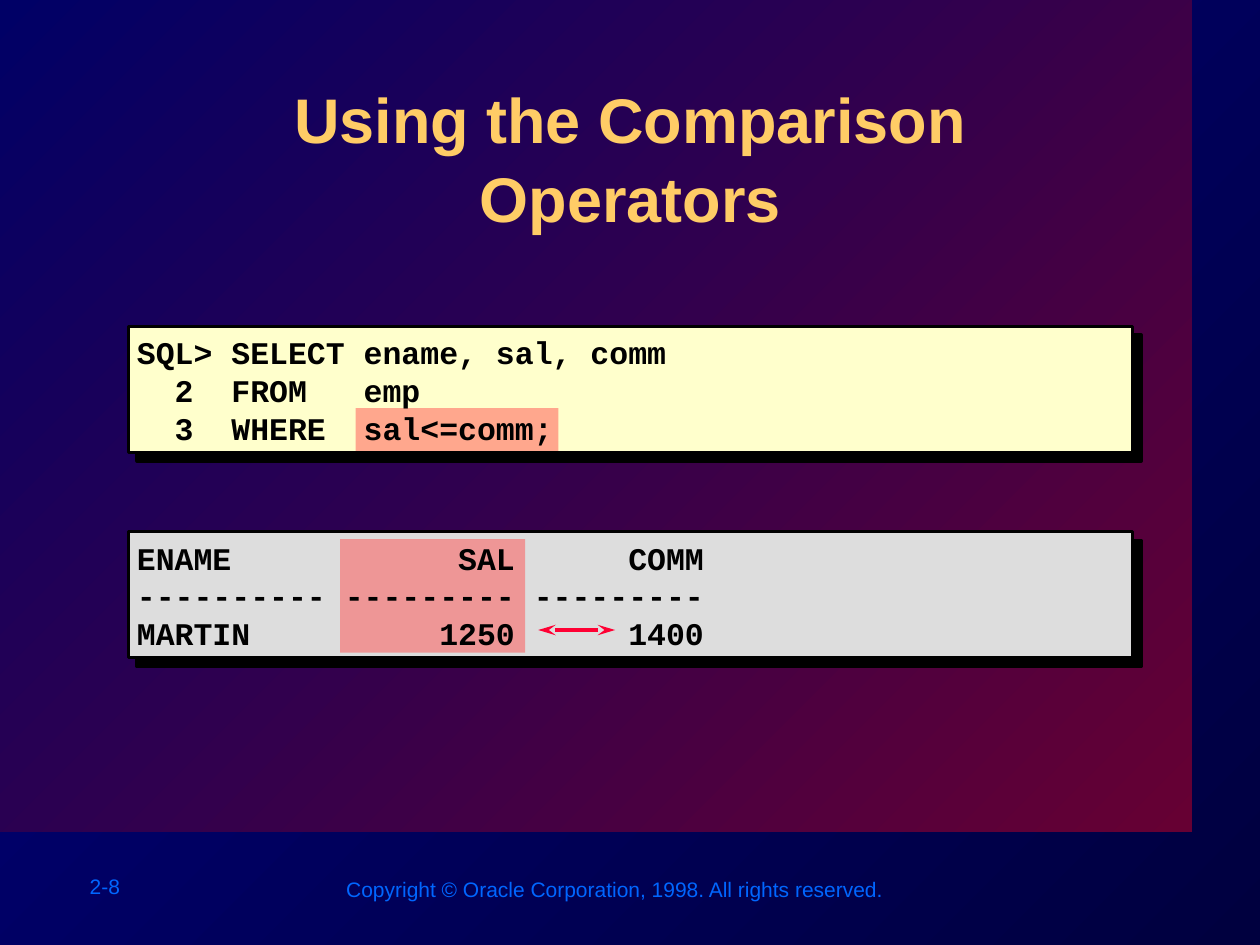
from lxml import etree
from pptx import Presentation
from pptx.dml.color import RGBColor
from pptx.enum import shapes, text
from pptx.oxml import ns
from pptx.util import Cm, Pt

COLORS = {
    "night": "00003F", "navy": "000080", "wine": "660033", "indigo": "000066",
    "title": "FFCC66", "footer": "0066FF", "code": "FFFFCC", "result": "DDDDDD",
    "highlight": "FF5050", "arrow": "FF0033", "black": "000000",
}
RGB = {name: RGBColor.from_string(value) for name, value in COLORS.items()}


def style(paragraph, face, size, color, bold=False):
    paragraph.font.name = face
    paragraph.font.size = Pt(size)
    paragraph.font.bold = bold
    paragraph.font.color.rgb = RGB[color]


def add_shadow(parent, distance):
    effects = parent.find(ns.qn("a:effectLst"))
    if effects is None:
        effects = etree.SubElement(parent, ns.qn("a:effectLst"))
    outer = etree.SubElement(effects, ns.qn("a:outerShdw"), blurRad="0",
                             dist=str(Pt(distance)), dir="2700000", algn="ctr", rotWithShape="0")
    etree.SubElement(outer, ns.qn("a:srgbClr"), val=COLORS["black"])


deck = Presentation()
deck.slide_width, deck.slide_height = Cm(25.4), Cm(19.05)
slide = deck.slides.add_slide(deck.slide_layouts[5])

backdrop = slide.shapes.add_shape(shapes.MSO_SHAPE.RECTANGLE, 0, 0, Cm(24.03), Cm(16.77))
backdrop.shadow.inherit = False
backdrop.line.fill.background()
for fill, ends in ((slide.background.fill, ("night", "navy")), (backdrop.fill, ("wine", "indigo"))):
    fill.gradient()
    fill.gradient_angle = 135
    for stop, color in zip(fill.gradient_stops, ends):
        stop.color.rgb = RGB[color]

title = slide.shapes.title
backdrop.element.addnext(title.element)
title.left, title.top, title.width, title.height = Cm(2.57), Cm(1.42), Cm(20.27), Cm(2.44)
title.text_frame.text = "Using the Comparison Operators"
title.text_frame.auto_size = text.MSO_AUTO_SIZE.NONE
title.text_frame.vertical_anchor = text.MSO_ANCHOR.TOP
heading = title.text_frame.paragraphs[0]
heading.alignment = text.PP_ALIGN.CENTER
heading.line_spacing = 1.05
style(heading, "Arial", 36, "title", True)
add_shadow(heading.runs[0].font._element, 3)

for left, top, width, words in (
    (1.56, 17.48, 2.82, "2-8"),
    (6.73, 17.54, 11.38, "Copyright © Oracle Corporation, 1998. All rights reserved."),
):
    footer = slide.shapes.add_textbox(Cm(left), Cm(top), Cm(width), Cm(0.76)).text_frame
    footer.word_wrap = True
    footer.text = words
    style(footer.paragraphs[0], "Arial", 12, "footer")

listings = (
    (6.58, "code", (7.17, 8.23, 4.09, 0.86),
     ["SQL> SELECT ename, sal, comm", "  2  FROM   emp", "  3  WHERE  sal<=comm;"]),
    (10.72, "result", (6.86, 10.87, 3.73, 2.29),
     ["ENAME            SAL      COMM", "---------- --------- ---------", "MARTIN          1250      1400"]),
)
for top, color, mark, lines in listings:
    panel = slide.shapes.add_shape(shapes.MSO_SHAPE.RECTANGLE, Cm(2.59), Cm(top), Cm(20.24), Cm(2.54))
    panel.fill.solid()
    panel.fill.fore_color.rgb = RGB[color]
    panel.line.color.rgb = RGB["black"]
    panel.line.width = Pt(2)
    panel.shadow.inherit = False
    add_shadow(panel.element.spPr, 7.1)

    highlight = slide.shapes.add_shape(shapes.MSO_SHAPE.RECTANGLE, *map(Cm, mark))
    highlight.shadow.inherit = False
    highlight.line.fill.background()
    highlight.fill.solid()
    highlight.fill.fore_color.rgb = RGB["highlight"]
    tint = highlight.element.spPr.find(".//" + ns.qn("a:srgbClr"))
    etree.SubElement(tint, ns.qn("a:alpha"), val="50000")

    listing = slide.shapes.add_textbox(Cm(2.51), Cm(top - 0.03), Cm(20.32), Cm(2.62)).text_frame
    listing.word_wrap = True
    listing.vertical_anchor = text.MSO_ANCHOR.MIDDLE
    listing.text = "\n".join(lines)
    for paragraph in listing.paragraphs:
        style(paragraph, "Courier New", 18, "black", True)

arrow = slide.shapes.add_connector(shapes.MSO_CONNECTOR.STRAIGHT, Cm(10.85), Cm(12.7), Cm(12.4), Cm(12.7))
arrow.line.color.rgb = RGB["arrow"]
arrow.line.width = Pt(2)
outline = arrow.line._get_or_add_ln()
for end in ("a:headEnd", "a:tailEnd"):
    etree.SubElement(outline, ns.qn(end), type="stealth", w="med", len="lg")
etree.SubElement(arrow.element.spPr, ns.qn("a:effectLst"))

deck.save("out.pptx")
